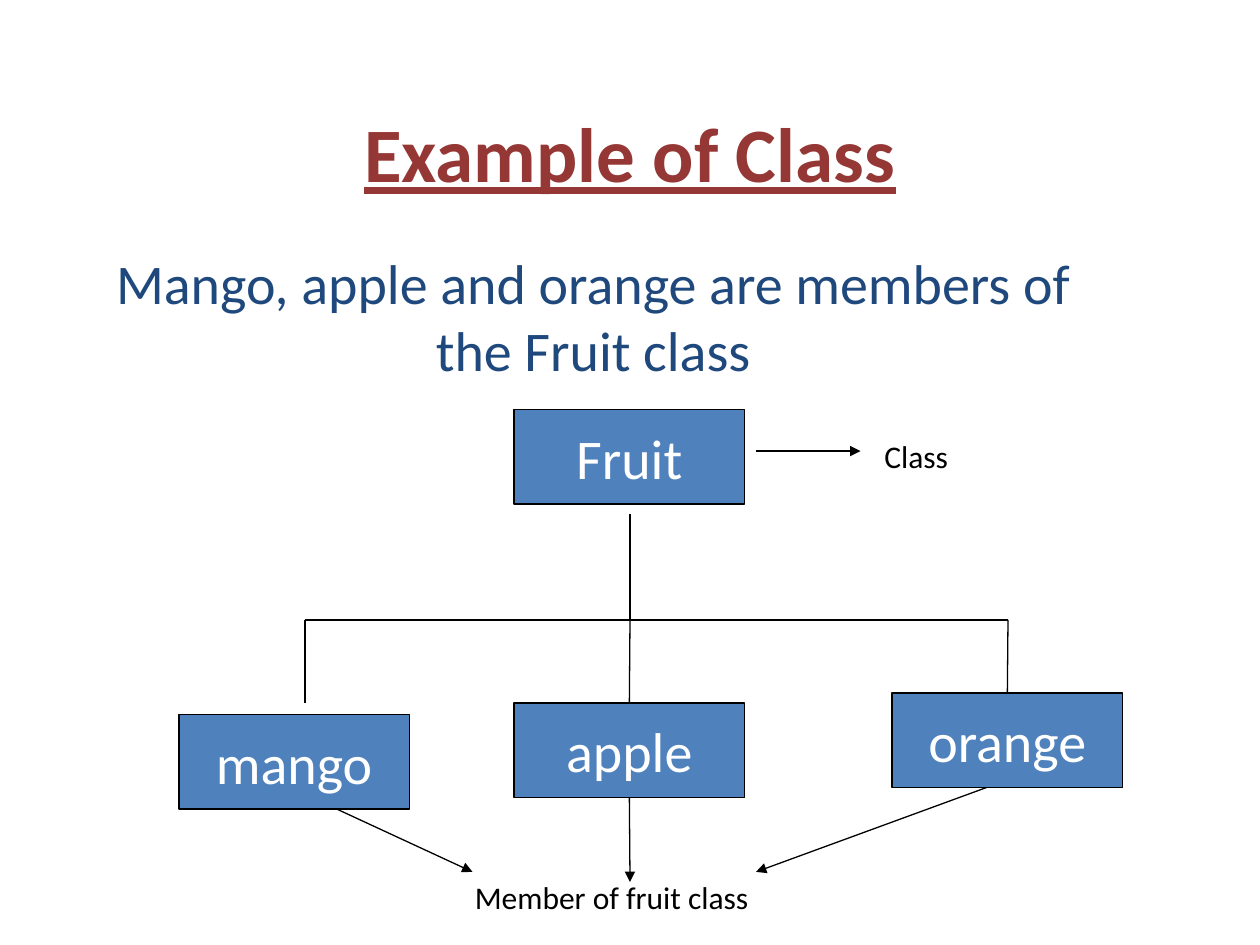
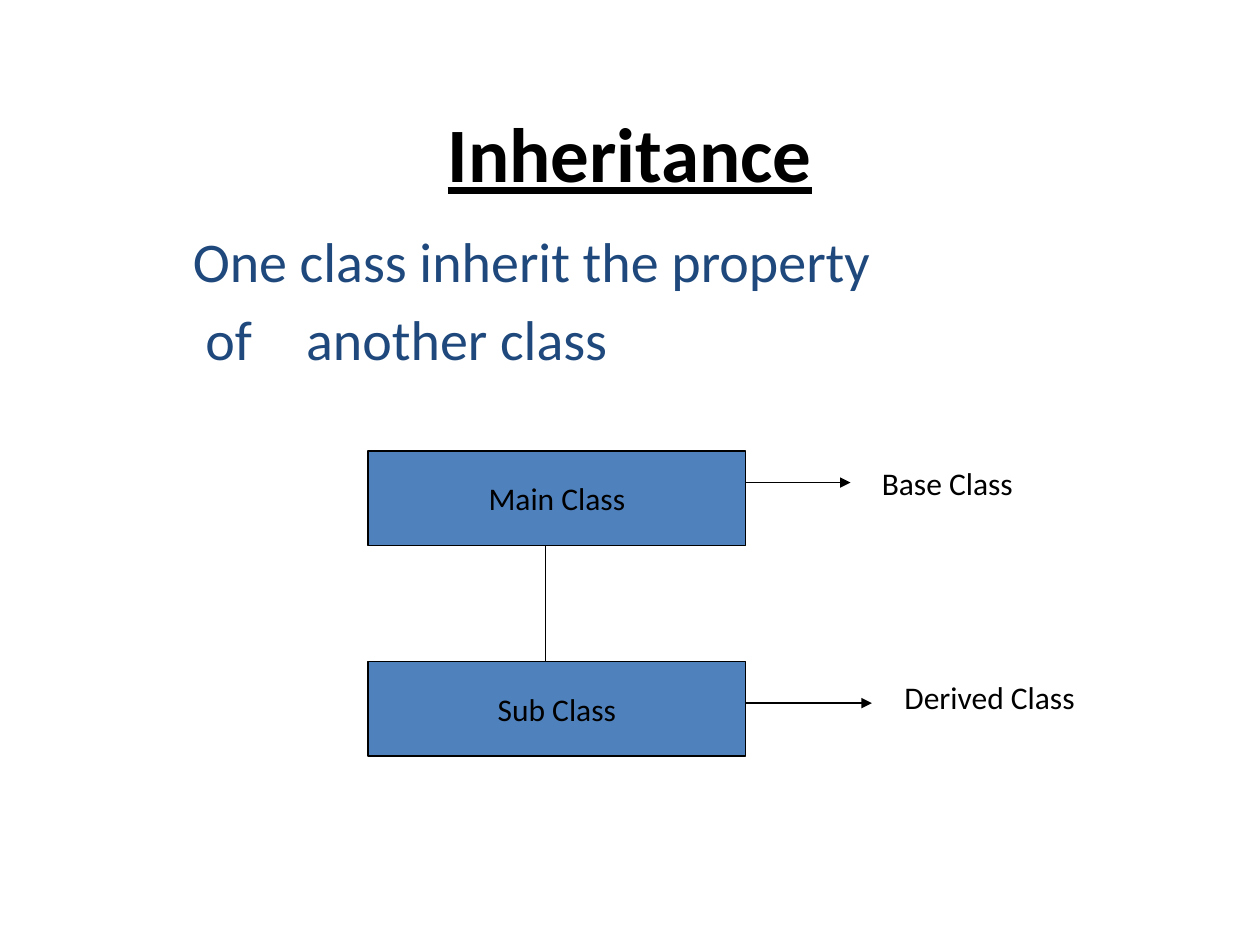
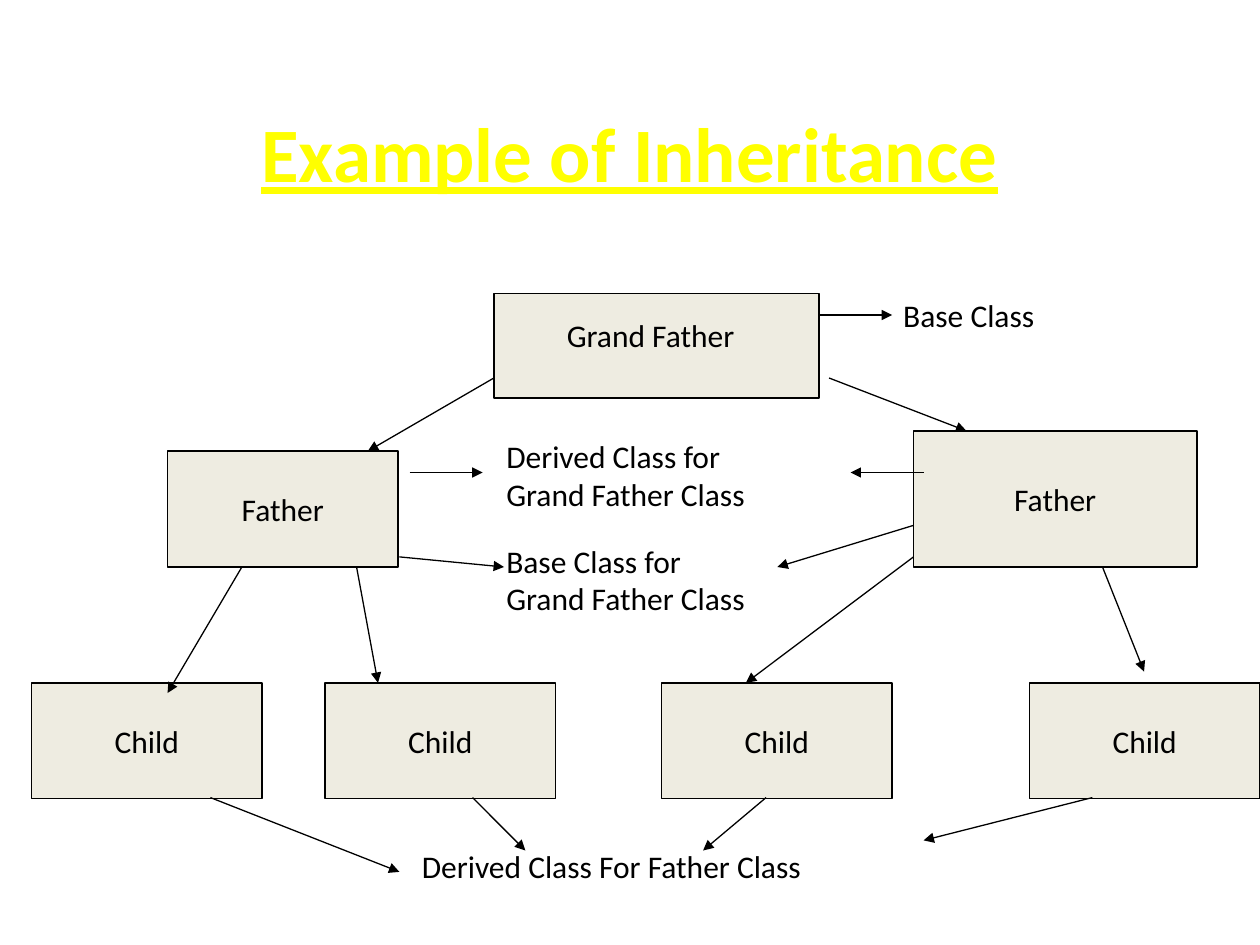
from dataclasses import dataclass
from typing import Optional

from pptx import Presentation
from pptx.dml.color import RGBColor
from pptx.enum.shapes import MSO_CONNECTOR as Conn, MSO_SHAPE as Shape
from pptx.enum.text import MSO_ANCHOR as Anchor, MSO_AUTO_SIZE as AutoSize, PP_ALIGN as Align
from pptx.oxml.ns import qn
from pptx.util import Inches, Pt
from lxml import etree

# Shared style
BLACK, WHITE = "000000", "FFFFFF"
BLUE, NAVY, CREAM = "4F81BD", "1F497D", "EEECE1"
MAROON, YELLOW = "953735", "FFFF00"
FONT = "Calibri"
LINE_WIDTH = Pt(0.75)
TITLE_AT = (0.75, 0.58, 8.5, 1.25)
TOP, BOTTOM = 0, 2
TITLE_SLIDE, TITLE_ONLY = 0, 5


@dataclass
class Box:
    text: str
    x: float
    y: float
    w: float
    h: float


@dataclass
class Label:
    lines: list[str]
    x: float
    y: float
    w: float
    h: float = 0.5


@dataclass
class Link:
    x1: float
    y1: float
    x2: float
    y2: float
    arrow: bool = True
    below: Optional[str] = None  # box whose bottom side the link leaves
    onto: Optional[str] = None   # box whose top side the link meets


def rgb(color: str) -> RGBColor:
    return RGBColor.from_string(color)


def inches(*values: float) -> list[int]:
    return [Inches(v) for v in values]


def style_font(p, size: float, color: str, **extra) -> None:
    for r in p.runs:
        for name, value in {"name": FONT, "size": Pt(size), **extra}.items():
            setattr(r.font, name, value)
        r.font.color.rgb = rgb(color)


def place(s, at: tuple) -> None:
    for name, value in zip(("left", "top", "width", "height"), inches(*at)):
        setattr(s, name, value)


def add_slide(prs, layout: int, title: str, color: str):
    slide = prs.slides.add_slide(prs.slide_layouts[layout])
    s = slide.shapes.title
    place(s, TITLE_AT)
    s.text_frame.text = title
    s.text_frame.vertical_anchor = Anchor.MIDDLE
    p = s.text_frame.paragraphs[0]
    p.alignment = Align.CENTER
    style_font(p, 44, color, bold=True, underline=True)
    return slide


def fill_body(slide, lines: list[str], at: tuple, align: Align):
    s = slide.placeholders[1]
    place(s, at)
    tf = s.text_frame
    tf.auto_size = AutoSize.NONE
    tf.text = "\n".join(lines)
    for i, p in enumerate(tf.paragraphs):
        p.alignment = align
        p.space_before = Pt(6 if i else 0)
        style_font(p, 32, NAVY)
    return tf


def indent_first_line(p, indent: float, tab: Optional[float] = None) -> None:
    ppr = p._p.get_or_add_pPr()
    ppr.set("marL", "0")
    ppr.set("indent", str(Inches(indent)))
    if tab is not None:
        tabs = etree.SubElement(ppr, qn("a:tabLst"))
        etree.SubElement(tabs, qn("a:tab"), pos=str(Inches(tab)), algn="l")


def draw_box(slide, box: Box, fill: str, size: float, color: str):
    s = slide.shapes.add_shape(Shape.RECTANGLE, *inches(box.x, box.y, box.w, box.h))
    s.shadow.inherit = False
    s.fill.solid()
    s.fill.fore_color.rgb = rgb(fill)
    s.line.color.rgb = rgb(BLACK)
    s.line.width = LINE_WIDTH
    if box.text:
        tf = s.text_frame
        tf.word_wrap = False
        tf.vertical_anchor = Anchor.MIDDLE
        tf.text = box.text
        tf.paragraphs[0].alignment = Align.CENTER
        style_font(tf.paragraphs[0], size, color)
    return s


def draw_link(slide, link: Link, shapes: dict) -> None:
    s = slide.shapes.add_connector(Conn.STRAIGHT, *inches(link.x1, link.y1, link.x2, link.y2))
    if link.below:
        s.begin_connect(shapes[link.below], BOTTOM)
    if link.onto:
        s.end_connect(shapes[link.onto], TOP)
    s.line.color.rgb = rgb(BLACK)
    s.line.width = LINE_WIDTH
    if link.arrow:
        etree.SubElement(s.line._get_or_add_ln(), qn("a:tailEnd"), type="triangle")
    etree.SubElement(s._element.spPr, qn("a:effectLst"))


def draw_label(slide, label: Label) -> None:
    s = slide.shapes.add_textbox(*inches(label.x, label.y, label.w, label.h))
    tf = s.text_frame
    tf.word_wrap = True
    tf.text = "\n".join(label.lines)
    for p in tf.paragraphs:
        style_font(p, 18, BLACK)


def draw_diagram(slide, boxes: list[Box], links: list[Link], labels: list[Label],
                 fill: str, size: float = 18, color: str = BLACK) -> None:
    shapes = {box.text: draw_box(slide, box, fill, size, color) for box in boxes}
    for link in links:
        draw_link(slide, link, shapes)
    for label in labels:
        draw_label(slide, label)


def class_example(prs) -> None:
    slide = add_slide(prs, TITLE_SLIDE, "Example of Class", MAROON)
    fill_body(slide, ["Mango, apple and orange are members of the Fruit class"],
              (0.75, 1.92, 7.92, 1.08), Align.CENTER)
    places = {"Fruit": (4.08, 3.25), "mango": (1.42, 5.67),
              "apple": (4.08, 5.58), "orange": (7.08, 5.5)}
    boxes = [Box(name, x, y, 1.83, 0.75) for name, (x, y) in places.items()]
    bar = 4.92
    links = [
        # Tree
        Link(5, 4.08, 5, bar, arrow=False),
        Link(2.42, bar, 8, bar, arrow=False),
        Link(2.42, bar, 2.42, 5.58, arrow=False),
        Link(5, bar, 5, 5.58, arrow=False, onto="apple"),
        Link(8, bar, 8, 5.5, arrow=False, onto="orange"),
        # Pointers to the labels
        Link(6, 3.58, 6.83, 3.58),
        Link(2.67, 6.42, 3.75, 6.92),
        Link(5, 6.33, 5, 7, below="apple"),
        Link(7.83, 6.25, 6, 6.92),
    ]
    labels = [Label(["Class"], 6.92, 3.42, 0.92),
              Label(["Member of fruit class"], 3.67, 6.92, 3.08)]
    draw_diagram(slide, boxes, links, labels, BLUE, 32, WHITE)


def inheritance(prs) -> None:
    slide = add_slide(prs, TITLE_SLIDE, "Inheritance", BLACK)
    tf = fill_body(slide, ["One class inherit the property", "of\tanother class"],
                   (1.33, 1.75, 7, 4.33), Align.LEFT)
    first, second = tf.paragraphs
    indent_first_line(first, 0.1)
    indent_first_line(second, 0.2, tab=0.87)
    boxes = [Box("Main Class", 2.92, 3.58, 3, 0.75), Box("Sub Class", 2.92, 5.25, 3, 0.75)]
    links = [Link(4.33, 4.33, 4.33, 5.25, arrow=False),
             Link(5.92, 5.58, 6.92, 5.58),
             Link(5.92, 3.83, 6.75, 3.83)]
    labels = [Label(["Base Class"], 6.9, 3.63, 1.65),
              Label(["Derived Class"], 7.08, 5.33, 2.08)]
    draw_diagram(slide, boxes, links, labels, BLUE)


def inheritance_example(prs) -> None:
    slide = add_slide(prs, TITLE_ONLY, "Example of Inheritance", YELLOW)
    boxes = [Box("", 3.92, 2.33, 2.58, 0.83),
             *(Box("Child", x, 5.42, 1.83, 0.92) for x in (0.25, 2.58, 5.25, 8.17)),
             Box("Father", 7.25, 3.42, 2.25, 1.08),
             Box("Father", 1.33, 3.58, 1.83, 0.92)]
    links = [
        # Grandfather to fathers
        Link(3.92, 3, 2.92, 3.58),
        Link(6.58, 3, 7.67, 3.42),
        # Fathers to children
        Link(1.92, 4.5, 1.33, 5.5),
        Link(2.83, 4.5, 3, 5.42),
        Link(7.25, 4.42, 5.92, 5.42),
        Link(8.75, 4.5, 9.08, 5.33),
        # Pointers to the labels
        Link(6.5, 2.5, 7.08, 2.5),
        Link(3.25, 3.75, 3.83, 3.75),
        Link(7.33, 3.75, 6.75, 3.75),
        Link(3.17, 4.42, 4, 4.5),
        Link(7.25, 4.17, 6.17, 4.5),
        Link(1.67, 6.33, 3.17, 6.92),
        Link(3.75, 6.33, 4.17, 6.75),
        Link(6.08, 6.33, 5.58, 6.75),
        Link(8.67, 6.33, 7.33, 6.67),
    ]
    labels = [Label(["Grand Father"], 4.4, 2.46, 1.97),
              Label(["Base Class"], 7.07, 2.3, 1.65),
              Label(["Derived Class for", "Grand Father Class"], 3.92, 3.42, 2.77, 0.9),
              Label(["Base Class for", "Grand Father Class"], 3.92, 4.25, 2.77, 0.9),
              Label(["Derived Class For Father Class"], 3.25, 6.67, 4.37)]
    draw_diagram(slide, boxes, links, labels, CREAM)


def main() -> None:
    prs = Presentation()
    prs.slide_width, prs.slide_height = inches(10, 7.5)
    for build in (class_example, inheritance, inheritance_example):
        build(prs)
    prs.save("out.pptx")


if __name__ == "__main__":
    main()
